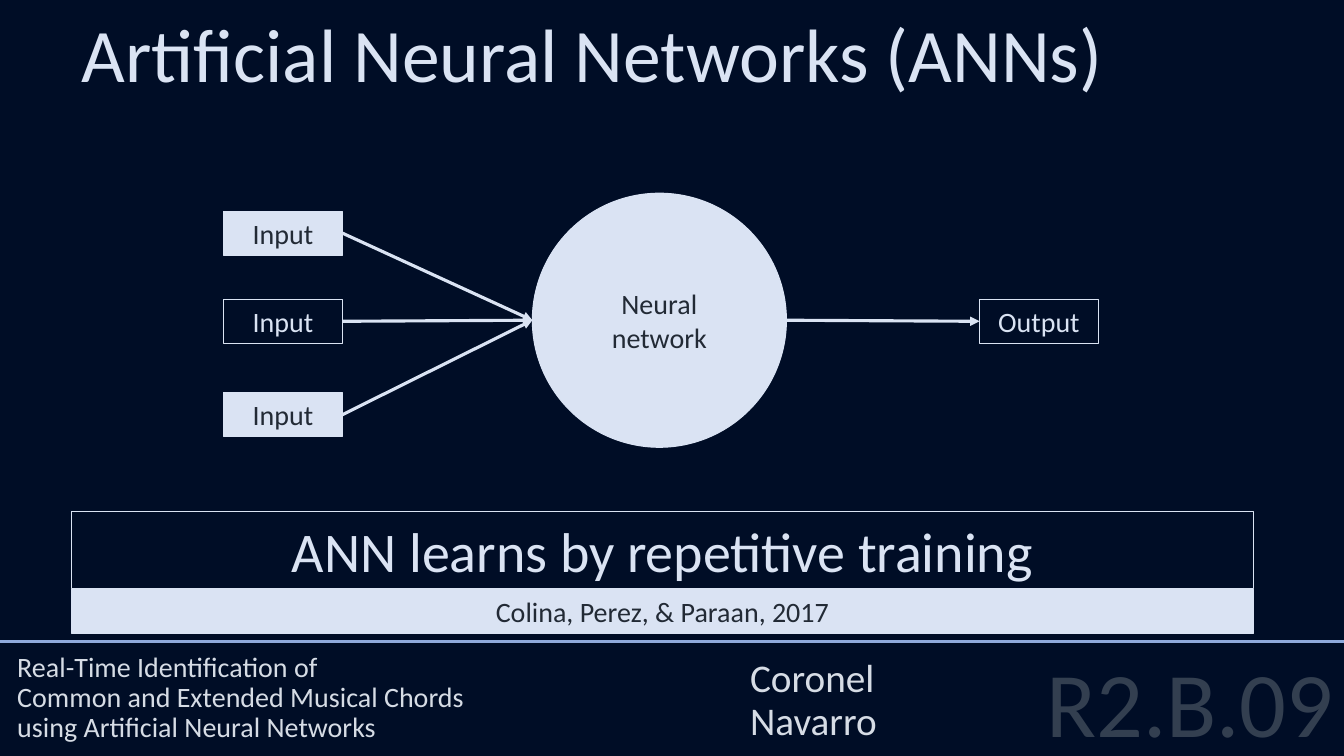
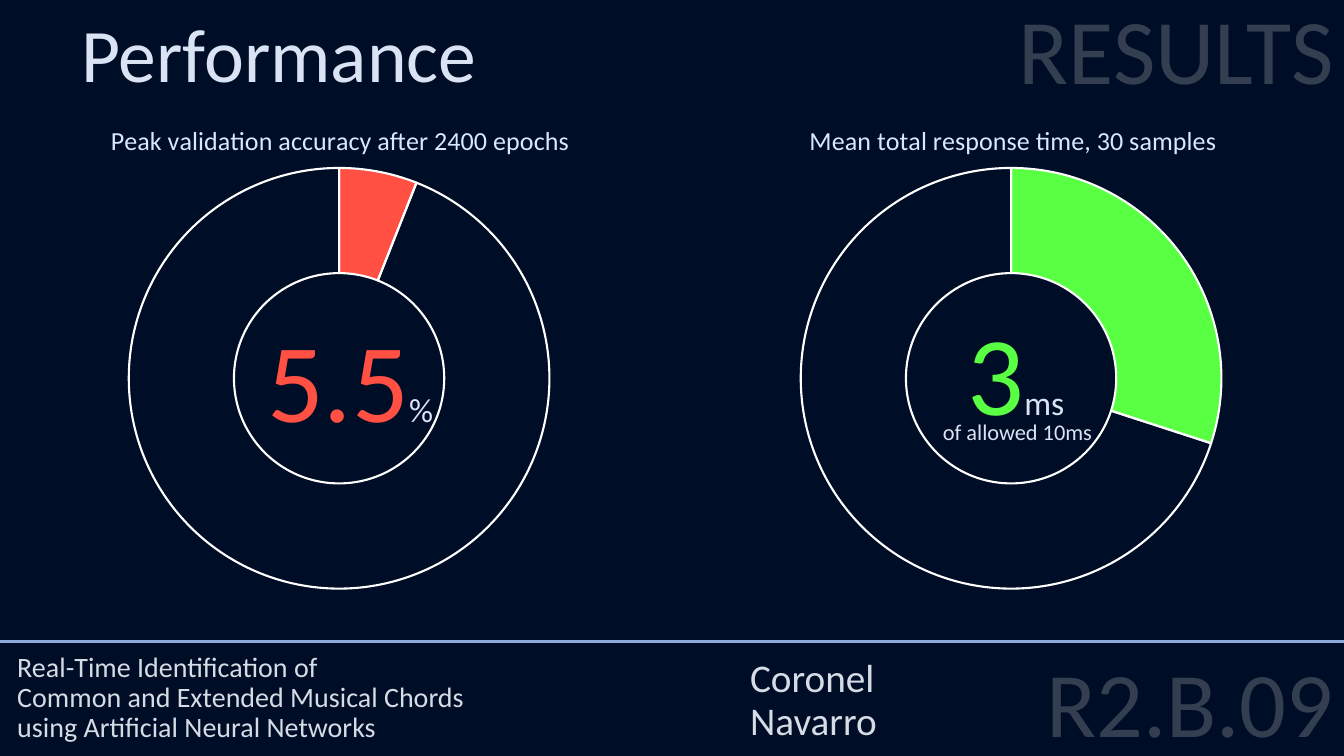
from lxml import etree
from pptx import Presentation
from pptx import util as u
from pptx.chart.data import CategoryChartData
from pptx.dml.color import RGBColor
from pptx.enum import chart as ch, shapes, text
from pptx.oxml import parse_xml
from pptx.oxml.ns import nsdecls, qn

PX = 9525
NAVY = RGBColor(0x00, 0x0D, 0x26)
PALE = RGBColor(0xDA, 0xE3, 0xF3)
INK = RGBColor(0x22, 0x2A, 0x35)
GREY = RGBColor(0xD6, 0xDC, 0xE5)
DIM = RGBColor(0x33, 0x3F, 0x50)
RULE = RGBColor(0x8F, 0xAA, 0xDC)
HEAD = RGBColor(0xD9, 0xE7, 0xFF)
WHITE = RGBColor(0xFF, 0xFF, 0xFF)
RED = RGBColor(0xFF, 0x50, 0x43)
GREEN = RGBColor(0x59, 0xFF, 0x43)
FONT = "Calibri"
LEFT, MID, RIGHT = text.PP_ALIGN.LEFT, text.PP_ALIGN.CENTER, text.PP_ALIGN.RIGHT
TOP, CTR, LOW = (text.MSO_ANCHOR.TOP, text.MSO_ANCHOR.MIDDLE,
                 text.MSO_ANCHOR.BOTTOM)


def px(*nums):
    return [u.Emu(round(n * PX)) for n in nums]


def style(obj, **fmt):
    for key, val in fmt.items():
        setattr(obj, key, val)


def write(shape, rows, align=LEFT, anchor=TOP, gap=1.0):
    """Fill a shape; each row is a list of (words, size, colour) runs."""
    frame = shape.text_frame
    style(frame, word_wrap=True, vertical_anchor=anchor,
          auto_size=text.MSO_AUTO_SIZE.NONE)
    for i, row in enumerate(rows):
        para = frame.add_paragraph() if i else frame.paragraphs[0]
        style(para, alignment=align, line_spacing=gap,
              space_before=u.Pt(0), space_after=u.Pt(0))
        for words, size, tint in row:
            run = para.add_run()
            run.text = words
            style(run.font, name=FONT, size=u.Pt(size))
            run.font.color.rgb = tint


def label(slide, box, rows, **fmt):
    write(slide.shapes.add_textbox(*px(*box)), rows, **fmt)


def block(slide, box, words, solid=True, size=20,
          kind=shapes.MSO_SHAPE.RECTANGLE):
    shape = slide.shapes.add_shape(kind, *px(*box))
    shape.shadow.inherit = False
    if solid:
        shape.fill.solid()
        shape.fill.fore_color.rgb = PALE
    else:
        shape.fill.background()
    shape.line.color.rgb = PALE
    shape.line.width = u.Pt(0.75)
    write(shape, [[(words, size, INK if solid else PALE)]],
          align=MID, anchor=CTR)
    return shape


def line(slide, ends, tint, width, arrow=False):
    link = slide.shapes.add_connector(
        shapes.MSO_CONNECTOR.STRAIGHT, *px(*ends))
    link.line.color.rgb = tint
    link.line.width = u.Pt(width)
    if arrow:
        etree.SubElement(link.line._get_or_add_ln(), qn("a:tailEnd"),
                         type="triangle")
    etree.SubElement(link._element.spPr, qn("a:effectLst"))
    return link


def place(shape, box):
    style(shape, **dict(zip(("left", "top", "width", "height"), px(*box))))


def base(deck, title, wide):
    """Add a slide with the title and the shared footer."""
    slide = deck.slides.add_slide(deck.slide_layouts[0])
    head, code = slide.placeholders
    place(head, (68, 2, wide, 97))
    write(head, [[(title, 54, PALE)]])
    place(code, (812, 630, 468, 90))
    write(code, [[("R2.B.09", 66, DIM)]], align=RIGHT, gap=0.8)
    line(slide, (0, 611, 1280, 611), RULE, 1.5)
    topic = ("Real-Time Identification of",
             "Common and Extended Musical Chords",
             "using Artificial Neural Networks")
    label(slide, (7, 613, 699, 100), [[(row, 20, GREY)] for row in topic],
          anchor=LOW, gap=0.9)
    label(slide, (705, 613, 490, 100),
          [[(name, 28, GREY)] for name in ("Coronel", "Navarro")],
          anchor=LOW, gap=0.9)
    return slide


def network(slide, box):
    """Draw inputs, network and output inside the box."""
    left, top, wide, high = box
    cell_w, cell_h = 113, 42
    hub_x, hub_y = left + 294, top + high / 2
    block(slide, (hub_x, top, high, high), "Neural network",
          kind=shapes.MSO_SHAPE.OVAL)
    for down, solid in ((17, True), (101, False), (190, True)):
        cell = block(slide, (left, top + down, cell_w, cell_h), "Input", solid)
        link = line(slide, (left, top, hub_x, hub_y), PALE, 2.25, True)
        link.begin_connect(cell, 3)
    out = block(slide, (left + wide - cell_w, top + 101, cell_w, cell_h),
                "Output", False)
    link = line(slide, (hub_x + high, hub_y, left + wide, hub_y),
                PALE, 2.25, True)
    link.end_connect(out, 1)


def banner(slide, box, claim, cite):
    left, top, wide, high = box
    split = 74
    block(slide, (left, top, wide, split), claim, False, 40)
    block(slide, (left, top + split, wide, high - split), cite)


def layout(node, inner=False, **frac):
    """Set a manual layout, in fractions of the chart, on a chart part."""
    spot = node.find(qn("c:layout"))
    if spot is None:
        spot = parse_xml(f"<c:layout {nsdecls('c')}/>")
        node.insert(0, spot)
    man = etree.SubElement(spot, qn("c:manualLayout"))
    if inner:
        etree.SubElement(man, qn("c:layoutTarget"), val="inner")
    for key in ("x", "y"):
        etree.SubElement(man, qn(f"c:{key}Mode"), val="edge")
    for key, val in frac.items():
        etree.SubElement(man, qn(f"c:{key}"), val=str(val))


def ring(slide, box, title, inset, vals, fills):
    data = CategoryChartData()
    data.categories = [str(i + 1) for i in range(len(vals))]
    data.add_series("Series 1", vals)
    chart = slide.shapes.add_chart(
        ch.XL_CHART_TYPE.DOUGHNUT, *px(*box), data).chart
    style(chart, has_legend=False, has_title=True)
    style(chart.font, name=FONT, size=u.Pt(10))
    para = chart.chart_title.text_frame.paragraphs[0]
    run = para.add_run()
    run.text = title
    style(run.font, name=FONT, size=u.Pt(18.6), bold=False)
    run.font.color.rgb = HEAD
    layout(chart.chart_title._element, x=inset, y=0.03)
    root = chart._chartSpace
    layout(root.find(".//" + qn("c:plotArea")), True,
           x=0.18, y=0.13, w=0.64, h=0.84)
    root.find(".//" + qn("c:holeSize")).set("val", "75")
    root.find(qn("c:chart")).addnext(parse_xml(
        f"<c:spPr {nsdecls('c', 'a')}><a:noFill/>"
        "<a:ln><a:noFill/></a:ln></c:spPr>"))
    for i, tint in enumerate(fills):
        part = chart.plots[0].series[0].points[i].format
        if tint is None:
            part.fill.background()
        else:
            part.fill.solid()
            part.fill.fore_color.rgb = tint
        part.line.color.rgb = WHITE
        part.line.width = u.Pt(1.5)


def gauge(slide, box, title, inset, vals, fills, value, unit, shift, note=None):
    """Place a ring chart with its reading, and a note, in the hole."""
    left, top = box[:2]
    ring(slide, box, title, inset, vals, fills)
    label(slide, (left + shift[0], top + shift[1], 331, 139),
          [[(value, 80, fills[0]), (unit, 24, PALE)]], align=MID, anchor=CTR)
    if note:
        label(slide, (left + 209, top + 295, 228, 36), [[(note, 16, PALE)]],
              align=MID, anchor=CTR)


def ann(deck):
    slide = base(deck, "Artificial Neural Networks (ANNs)", 1189)
    network(slide, (213, 184, 833, 242))
    banner(slide, (68, 487, 1126, 116), "ANN learns by repetitive training",
           "Colina, Perez, & Paraan, 2017")


def results(deck):
    slide = base(deck, "Performance", 802)
    label(slide, (213, 0, 1067, 96), [[("RESULTS", 66, DIM)]],
          align=RIGHT, gap=0.9)
    gauge(slide, (6, 98, 634, 477),
          "Peak validation accuracy after 2400 epochs", 0.15,
          (6, 94, 0, 0), (RED, None, PALE, PALE), "5.5", "%", (162, 192))
    gauge(slide, (646, 98, 634, 477),
          "Mean total response time, 30 samples", 0.19,
          (30, 70), (GREEN, None), "3", "ms", (156, 186), "of allowed 10ms")


def main():
    deck = Presentation()
    deck.slide_width, deck.slide_height = px(1280, 720)
    fill = deck.slide_master.background.fill
    fill.solid()
    fill.fore_color.rgb = NAVY
    ann(deck)
    results(deck)
    deck.save("out.pptx")


if __name__ == "__main__":
    main()
